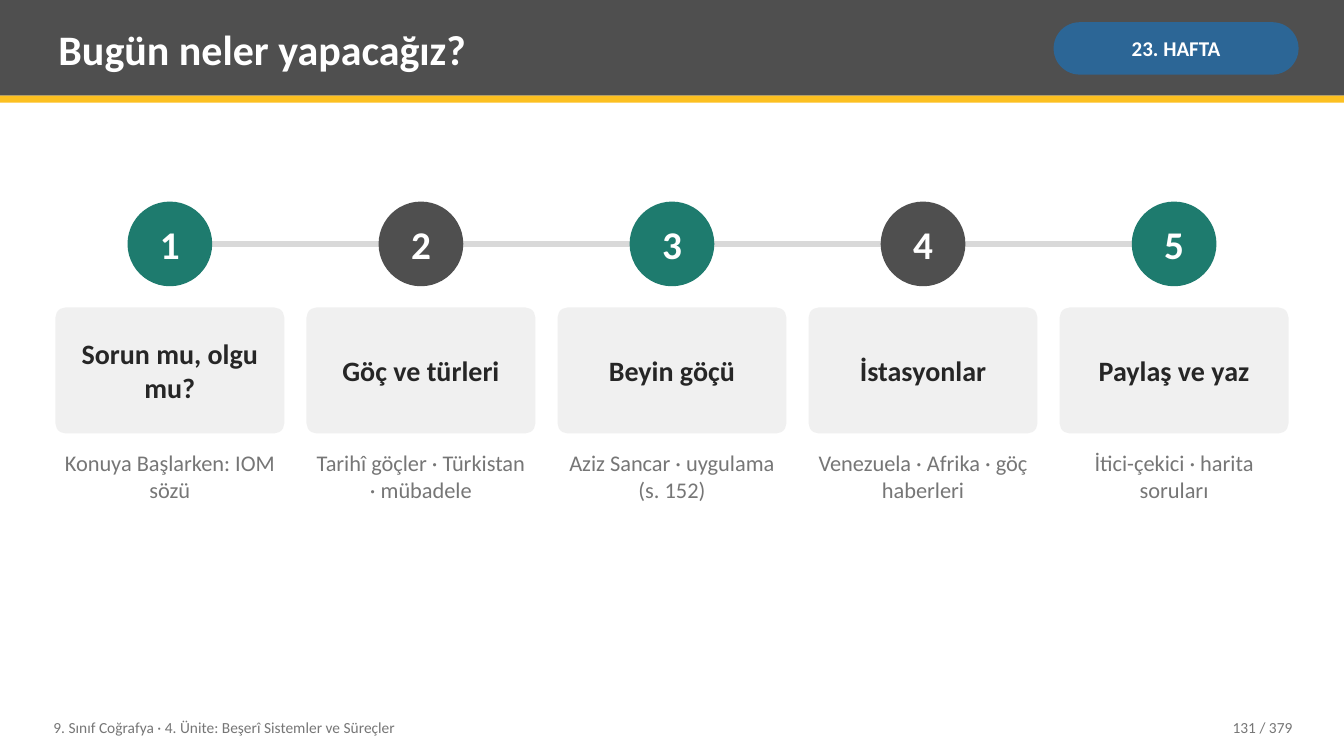
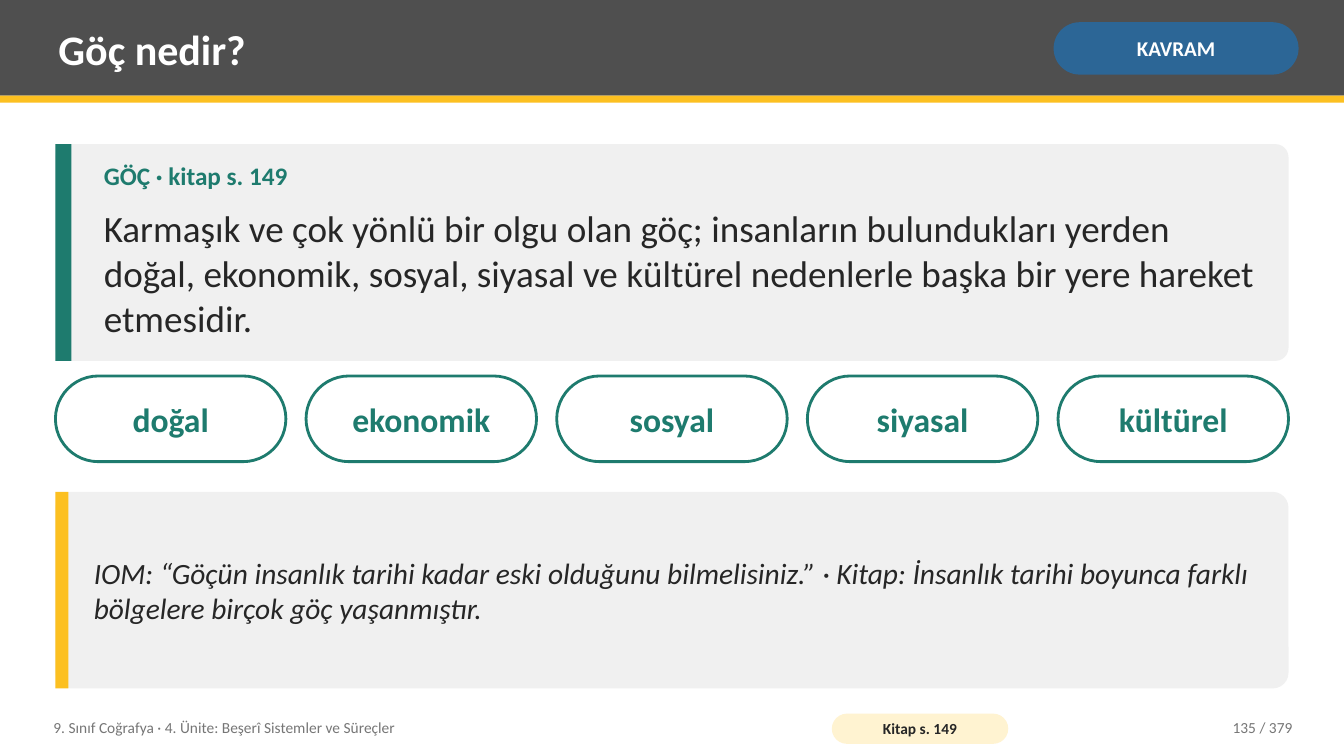
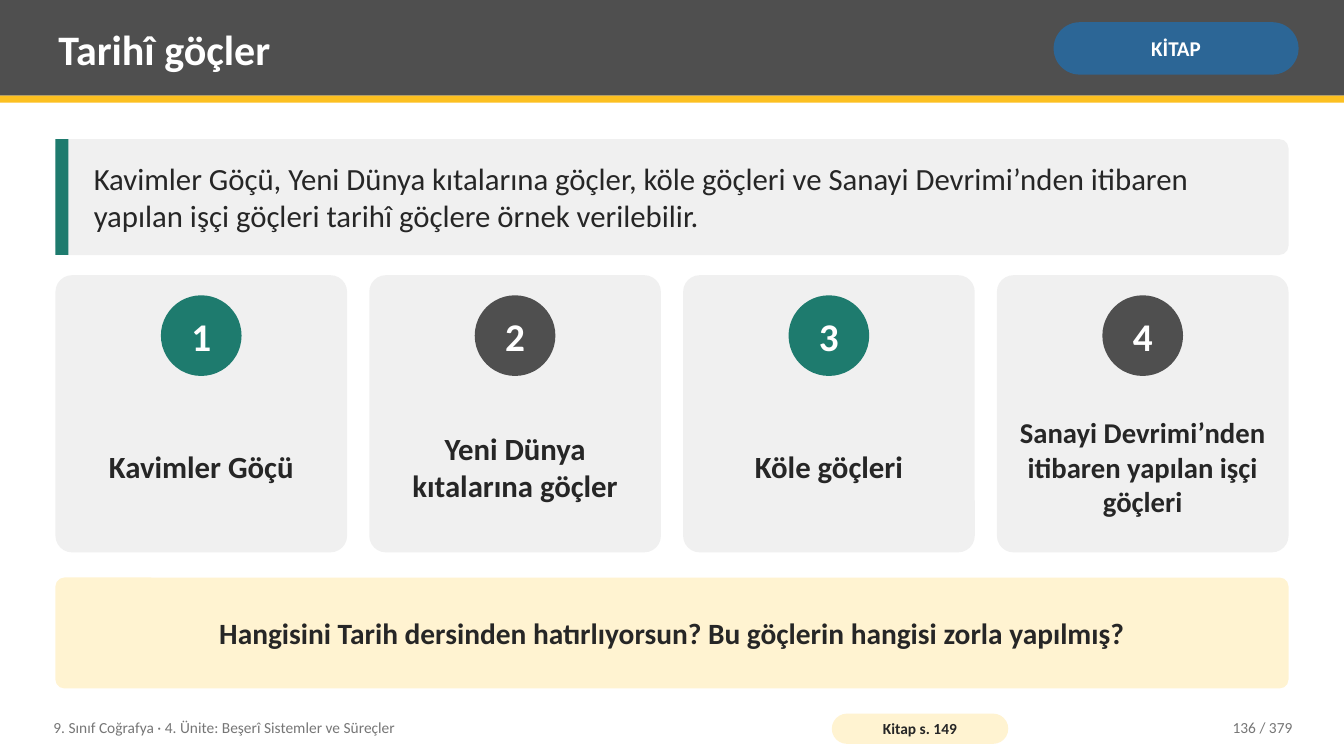
"""Builds three geography lesson slides on migration."""
from lxml import etree
from pptx import Presentation
from pptx.dml.color import RGBColor
from pptx.enum.shapes import MSO_CONNECTOR, MSO_SHAPE
from pptx.enum.text import MSO_ANCHOR, PP_ALIGN
from pptx.oxml.ns import qn
from pptx.util import Inches, Pt

RECT, ROUND, OVAL = MSO_SHAPE.RECTANGLE, MSO_SHAPE.ROUNDED_RECTANGLE, MSO_SHAPE.OVAL
STRAIGHT = MSO_CONNECTOR.STRAIGHT
LEFT, CENTER, RIGHT = PP_ALIGN.LEFT, PP_ALIGN.CENTER, PP_ALIGN.RIGHT
TOP, MIDDLE = MSO_ANCHOR.TOP, MSO_ANCHOR.MIDDLE

WHITE = RGBColor(0xFF, 0xFF, 0xFF)
CHARCOAL = RGBColor(0x4F, 0x4F, 0x4F)
YELLOW = RGBColor(0xFC, 0xC0, 0x21)
BLUE = RGBColor(0x2C, 0x66, 0x96)
GREEN = RGBColor(0x1E, 0x7B, 0x6E)
PANEL = RGBColor(0xF0, 0xF0, 0xF0)
CREAM = RGBColor(0xFF, 0xF3, 0xD1)
INK = RGBColor(0x26, 0x26, 0x26)
GREY = RGBColor(0x76, 0x76, 0x76)
RAIL = RGBColor(0xD9, 0xD9, 0xD9)

FONT = "Calibri"
WIDTH, HEIGHT = 13.33, 7.5
MARGIN = 0.55
CONTENT = 12.23
FOOTER = "9. Sınıf Coğrafya · 4. Ünite: Beşerî Sistemler ve Süreçler"
PAGE_COUNT = 379

AGENDA = [
    ("Sorun mu, olgu mu?", "Konuya Başlarken: IOM sözü"),
    ("Göç ve türleri", "Tarihî göçler · Türkistan · mübadele"),
    ("Beyin göçü", "Aziz Sancar · uygulama (s. 152)"),
    ("İstasyonlar", "Venezuela · Afrika · göç haberleri"),
    ("Paylaş ve yaz", "İtici-çekici · harita soruları"),
]
TERM = "GÖÇ · kitap s. 149"
DEFINITION = (
    "Karmaşık ve çok yönlü bir olgu olan göç; insanların bulundukları yerden doğal, "
    "ekonomik, sosyal, siyasal ve kültürel nedenlerle başka bir yere hareket etmesidir."
)
CAUSES = ["doğal", "ekonomik", "sosyal", "siyasal", "kültürel"]
QUOTE = (
    "IOM: “Göçün insanlık tarihi kadar eski olduğunu bilmelisiniz.” · Kitap: İnsanlık "
    "tarihi boyunca farklı bölgelere birçok göç yaşanmıştır."
)
SUMMARY = (
    "Kavimler Göçü, Yeni Dünya kıtalarına göçler, köle göçleri ve Sanayi Devrimi’nden "
    "itibaren yapılan işçi göçleri tarihî göçlere örnek verilebilir."
)
MIGRATIONS = [
    ("Kavimler Göçü", 22),
    ("Yeni Dünya kıtalarına göçler", 22),
    ("Köle göçleri", 22),
    ("Sanayi Devrimi’nden itibaren yapılan işçi göçleri", 20.5),
]
QUESTION = "Hangisini Tarih dersinden hatırlıyorsun? Bu göçlerin hangisi zorla yapılmış?"


def write(shape, text, size, color, bold=False, italic=False, align=LEFT,
          anchor=MIDDLE, inset=(0.08, 0.04), wrap=True):
    frame = shape.text_frame
    frame.text = text
    frame.word_wrap = wrap
    frame.vertical_anchor = anchor
    frame.margin_left = frame.margin_right = Inches(inset[0])
    frame.margin_top = frame.margin_bottom = Inches(inset[1])
    para = frame.paragraphs[0]
    para.alignment = align
    font = para.runs[0].font
    font.name, font.size, font.bold, font.italic = FONT, Pt(size), bold, italic
    font.color.rgb = color


def add_text(page, area, text, size, color, **style):
    box = page.shapes.add_textbox(*map(Inches, area))
    write(box, text, size, color, **style)


def add_block(page, kind, area, fill, radius=None, outline=None):
    shape = page.shapes.add_shape(kind, *map(Inches, area))
    shape.shadow.inherit = False
    shape.fill.solid()
    shape.fill.fore_color.rgb = fill
    if outline is None:
        shape.line.fill.background()
    else:
        shape.line.color.rgb = outline
        shape.line.width = Pt(2)
    if radius is not None:
        shape.adjustments[0] = radius
    return shape


def add_label(page, area, fill, radius, text, size, color, inset, outline=None):
    shape = add_block(page, ROUND, area, fill, radius, outline)
    write(shape, text, size, color, bold=True, align=CENTER, inset=inset)


def add_number(page, index, center, top, size):
    fill = CHARCOAL if index % 2 else GREEN
    circle = add_block(page, OVAL, (center - size / 2, top, size, size), fill)
    write(circle, str(index + 1), 28, WHITE, bold=True, align=CENTER,
          inset=(0, 0), wrap=False)


def add_accent_panel(page, top, height, accent, bar=0.13, radius=0.08):
    add_block(page, ROUND, (MARGIN, top, CONTENT, height), PANEL, radius)
    add_block(page, RECT, (MARGIN, top, bar, height), accent)


def add_note(page, top, height, accent, text, size, italic=False):
    add_accent_panel(page, top, height, accent)
    add_text(page, (MARGIN + 0.3, top, CONTENT - 0.45, height), text, size, INK,
             italic=italic)


def columns(count, gap):
    width = (CONTENT - gap * (count - 1)) / count
    return width, [MARGIN + index * (width + gap) for index in range(count)]


def add_page(deck, title, tag, number, source=None):
    page = deck.slides.add_slide(deck.slide_layouts[6])
    add_block(page, RECT, (0, 0, WIDTH, 0.95), CHARCOAL)
    add_block(page, RECT, (0, 0.95, WIDTH, 0.07), YELLOW)
    add_text(page, (0.5, 0.07, 9.75, 0.82), title, 30, WHITE, bold=True)
    add_label(page, (10.45, 0.22, 2.43, 0.52), BLUE, 0.5, tag, 15, WHITE, (0.05, 0.02))
    add_text(page, (0.45, 7.04, 7.6, 0.36), FOOTER, 11, GREY)
    if source:
        add_label(page, (8.25, 7.08, 1.75, 0.3), CREAM, 0.5, source, 11, INK, (0.04, 0))
    add_text(page, (11.3, 7.04, 1.6, 0.36), f"{number} / {PAGE_COUNT}", 11, GREY,
             align=RIGHT)
    return page


def build_agenda(deck):
    page = add_page(deck, "Bugün neler yapacağız?", "23. HAFTA", 131)
    width, lefts = columns(len(AGENDA), 0.22)
    centers = [left + width / 2 for left in lefts]
    top, size = 2, 0.84
    middle = top + size / 2
    rail = page.shapes.add_connector(
        STRAIGHT, *map(Inches, (centers[0], middle, centers[-1], middle)))
    rail.line.color.rgb = RAIL
    rail.line.width = Pt(4)
    etree.SubElement(rail._element.spPr, qn("a:effectLst"))
    for index, (step, detail) in enumerate(AGENDA):
        add_number(page, index, centers[index], top, size)
        add_label(page, (lefts[index], 3.05, width, 1.25), PANEL, 0.08, step, 20, INK,
                  (0.08, 0.08))
        add_text(page, (lefts[index], 4.42, width, 1.9), detail, 16, GREY,
                 align=CENTER, anchor=TOP)


def build_concept(deck):
    page = add_page(deck, "Göç nedir?", "KAVRAM", 135, "Kitap s. 149")
    add_accent_panel(page, 1.43, 2.15, GREEN, bar=0.16, radius=0.06)
    left, width = MARGIN + 0.4, CONTENT - 0.6
    add_text(page, (left, 1.55, width, 0.45), TERM, 18, GREEN, bold=True, anchor=TOP)
    add_text(page, (left, 1.98, width, 1.45), DEFINITION, 26.5, INK)
    width, lefts = columns(len(CAUSES), 0.2)
    for left, cause in zip(lefts, CAUSES):
        add_label(page, (left, 3.73, width, 0.85), WHITE, 0.5, cause, 24, GREEN,
                  (0.14, 0.08), outline=GREEN)
    add_note(page, 4.88, 1.95, YELLOW, QUOTE, 21, italic=True)


def build_history(deck):
    page = add_page(deck, "Tarihî göçler", "KİTAP", 136, "Kitap s. 149")
    add_note(page, 1.38, 1.15, GREEN, SUMMARY, 22)
    width, lefts = columns(len(MIGRATIONS), 0.22)
    for index, (left, (name, size)) in enumerate(zip(lefts, MIGRATIONS)):
        add_block(page, ROUND, (left, 2.73, width, 2.75), PANEL, 0.06)
        add_number(page, index, left + width / 2, 2.93, 0.8)
        add_text(page, (left + 0.12, 3.88, width - 0.24, 1.5), name, size, INK,
                 bold=True, align=CENTER)
    add_label(page, (MARGIN, 5.73, CONTENT, 1.1), CREAM, 0.08, QUESTION, 21, INK,
              (0.14, 0.08))


def main():
    deck = Presentation()
    deck.slide_width, deck.slide_height = Inches(WIDTH), Inches(HEIGHT)
    build_agenda(deck)
    build_concept(deck)
    build_history(deck)
    deck.save("out.pptx")


if __name__ == "__main__":
    main()
